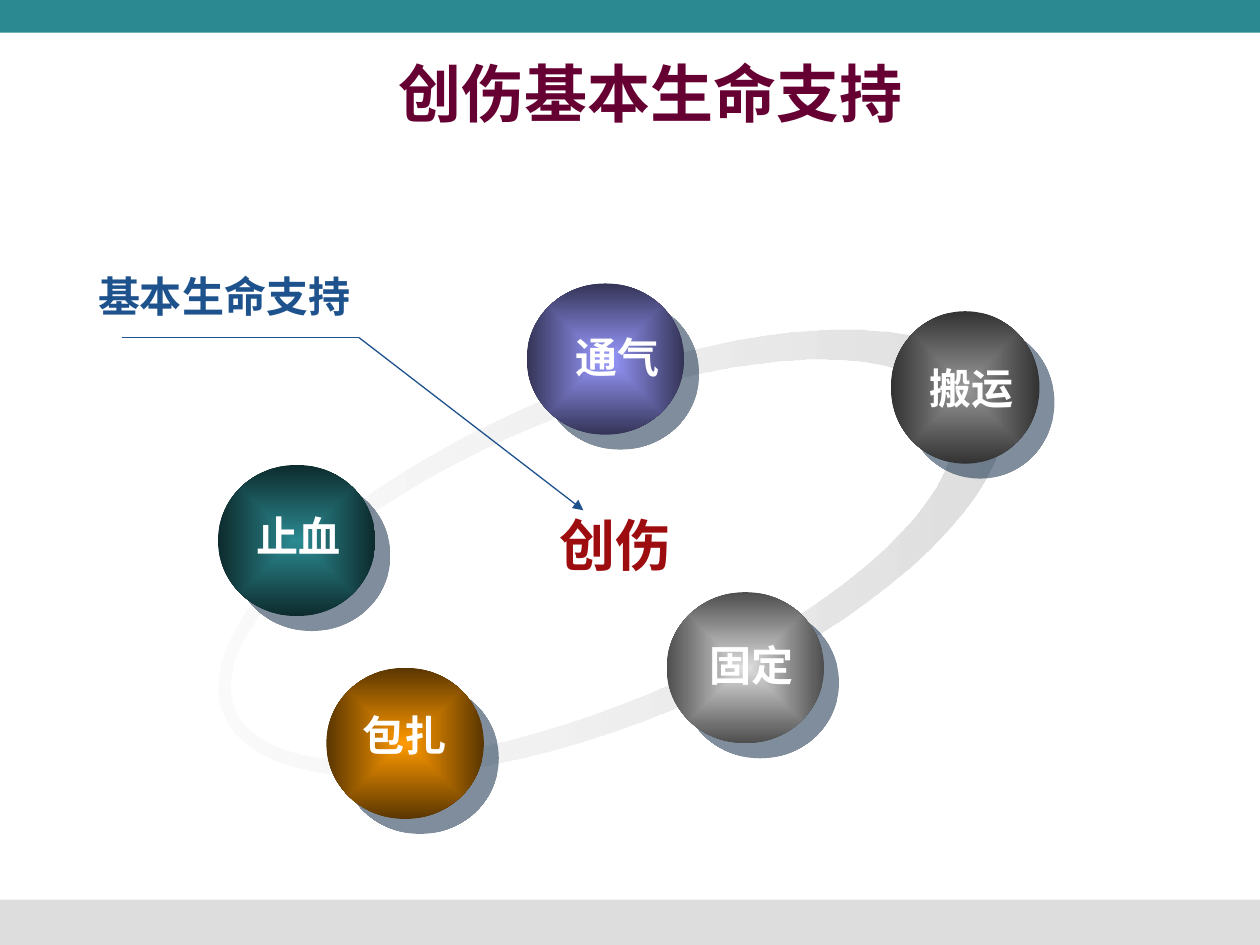
import math

from pptx import Presentation
from pptx.dml.color import RGBColor
from pptx.enum.shapes import MSO_CONNECTOR, MSO_SHAPE
from pptx.enum.text import MSO_ANCHOR, PP_ALIGN
from pptx.oxml import parse_xml
from pptx.oxml.ns import nsdecls, qn
from pptx.util import Inches, Pt

OVAL = MSO_SHAPE.OVAL
RECTANGLE = MSO_SHAPE.RECTANGLE
STRAIGHT = MSO_CONNECTOR.STRAIGHT
CENTER = PP_ALIGN.CENTER
LEFT = PP_ALIGN.LEFT
MIDDLE = MSO_ANCHOR.MIDDLE

COLORS = {
    "teal": "2B8A91", "teal_dark": "0D2B2D",
    "violet": "9999FF", "violet_dark": "343457",
    "orange": "FF9900", "orange_dark": "5A3600",
    "silver": "DDDDDD", "silver_dark": "4E4E4E",
    "gray": "969696", "gray_dark": "333333",
    "mist": "F3F3F3", "shadow": "001D3A", "title": "660033",
    "red": "9D0D10", "blue": "1D528D", "white": "FFFFFF",
}

BALLS = [
    ("violet", 4.18, 2.25, 1.25, 1.2),
    ("teal", 1.73, 3.69, 1.25, 1.2),
    ("orange", 2.59, 5.3, 1.25, 1.2),
    ("silver", 5.29, 4.7, 1.25, 1.2),
    ("gray", 7.07, 2.47, 1.18, 1.21),
]

LABELS = [
    ("止血", 1.94, 4, 24, "white", "Arial"),
    ("通气", 4.47, 2.58, 24, "white", "Noto Sans CJK SC"),
    ("搬运", 7.28, 2.83, 24, "white", "Arial"),
    ("固定", 5.53, 5.03, 24, "white", "Arial"),
    ("包扎", 2.78, 5.58, 24, "white", "Arial"),
    ("创伤", 4.34, 4, 32, "red", "Noto Sans CJK SC"),
    ("基本生命支持", 0.68, 2.1, 24, "blue", "Arial"),
]


def color(name):
    return RGBColor.from_string(COLORS[name])


def format_text(text_frame, text, size, color_name, font_name, alignment):
    text_frame.text = text
    paragraph = text_frame.paragraphs[0]
    paragraph.alignment = alignment
    font = paragraph.runs[0].font
    font.name = font_name
    font.size = Pt(size)
    font.bold = True
    font.color.rgb = color(color_name)


def set_title(slide, text):
    title = slide.shapes.title
    title.left, title.top = Inches(0.58), Inches(0.42)
    title.width, title.height = Inches(9.16), Inches(0.62)
    title.text_frame.vertical_anchor = MIDDLE
    format_text(title.text_frame, text, 36, "title", "DejaVu Sans", CENTER)


def add_shape(slide, preset, left, top, width, height):
    shape = slide.shapes.add_shape(
        preset, Inches(left), Inches(top), Inches(width), Inches(height))
    shape.shadow.inherit = False
    shape.line.fill.background()
    return shape


def add_bar(slide, top, height, color_name):
    bar = add_shape(slide, RECTANGLE, 0, top, 10, height)
    bar.fill.solid()
    bar.fill.fore_color.rgb = color(color_name)


def set_gradient(shape, start, end, direction, end_alpha=100):
    shape.fill.gradient()
    properties = shape._element.spPr
    gradient = parse_xml(
        f'<a:gradFill {nsdecls("a")} rotWithShape="1"><a:gsLst>'
        f'<a:gs pos="0"><a:srgbClr val="{COLORS[start]}"/></a:gs>'
        f'<a:gs pos="100000"><a:srgbClr val="{COLORS[end]}">'
        f'<a:alpha val="{end_alpha * 1000}"/></a:srgbClr></a:gs>'
        f'</a:gsLst>{direction}</a:gradFill>')
    properties.replace(properties.find(qn("a:gradFill")), gradient)


def add_ball(slide, color_name, left, top, width, height):
    ball = add_shape(slide, OVAL, left, top, width, height)
    set_gradient(
        ball, color_name, color_name + "_dark",
        '<a:path path="rect"><a:fillToRect l="50000" t="50000" '
        'r="50000" b="50000"/></a:path>')
    ball._element.spPr.find(qn("a:effectLst")).append(parse_xml(
        f'<a:outerShdw {nsdecls("a")} blurRad="0" dist="{Pt(12.1)}" '
        f'dir="2700000" algn="ctr" rotWithShape="0">'
        f'<a:srgbClr val="{COLORS["shadow"]}"><a:alpha val="50000"/>'
        f'</a:srgbClr></a:outerShdw>'))


def ellipse_points(center_x, center_y, radius_x, radius_y, turn):
    steps = 80
    angles = [turn * 2 * math.pi * step / steps for step in range(steps)]
    return [(Inches(center_x + radius_x * math.cos(angle)),
             Inches(center_y + radius_y * math.sin(angle)))
            for angle in angles]


def add_ring(slide):
    outer = ellipse_points(4.85, 4.39, 3.33, 1.33, 1)
    inner = ellipse_points(4.69, 4.38, 3.07, 1.15, -1)
    builder = slide.shapes.build_freeform(*outer[0])
    builder.add_line_segments(outer[1:], close=True)
    builder.move_to(*inner[0])
    builder.add_line_segments(inner[1:], close=True)
    ring = builder.convert_to_shape()
    ring.rotation = -22.6
    ring.shadow.inherit = False
    ring.line.fill.background()
    set_gradient(ring, "silver", "mist",
                 '<a:lin ang="12156000" scaled="0"/>', 36)


def add_label(slide, text, left, top, size, color_name, font_name):
    width = len(text) * size / 72 + 0.2
    height = size * 1.2 / 72 + 0.1
    box = slide.shapes.add_textbox(
        Inches(left), Inches(top), Inches(width), Inches(height))
    box.text_frame.word_wrap = False
    format_text(box.text_frame, text, size, color_name, font_name, LEFT)


def add_line(slide, start, end, arrow=False):
    connector = slide.shapes.add_connector(
        STRAIGHT, *[Inches(value) for value in start + end])
    connector.line.color.rgb = color("blue")
    connector.line.width = Pt(0.75)
    if arrow:
        connector.line._get_or_add_ln().append(
            parse_xml(f'<a:tailEnd {nsdecls("a")} type="triangle"/>'))
    connector._element.spPr.append(
        parse_xml(f'<a:effectLst {nsdecls("a")}/>'))


def main():
    presentation = Presentation()
    presentation.slide_width = Inches(10)
    presentation.slide_height = Inches(7.5)
    slide = presentation.slides.add_slide(presentation.slide_layouts[5])
    add_bar(slide, 7.14, 0.36, "silver")
    add_bar(slide, 0, 0.26, "teal")
    set_title(slide, "创伤基本生命支持")
    add_ring(slide)
    for ball in BALLS:
        add_ball(slide, *ball)
    for label in LABELS:
        add_label(slide, *label)
    bend = (2.85, 2.68)
    add_line(slide, bend, (4.63, 4.05), arrow=True)
    add_line(slide, bend, (0.97, 2.68))
    presentation.save("out.pptx")


if __name__ == "__main__":
    main()
